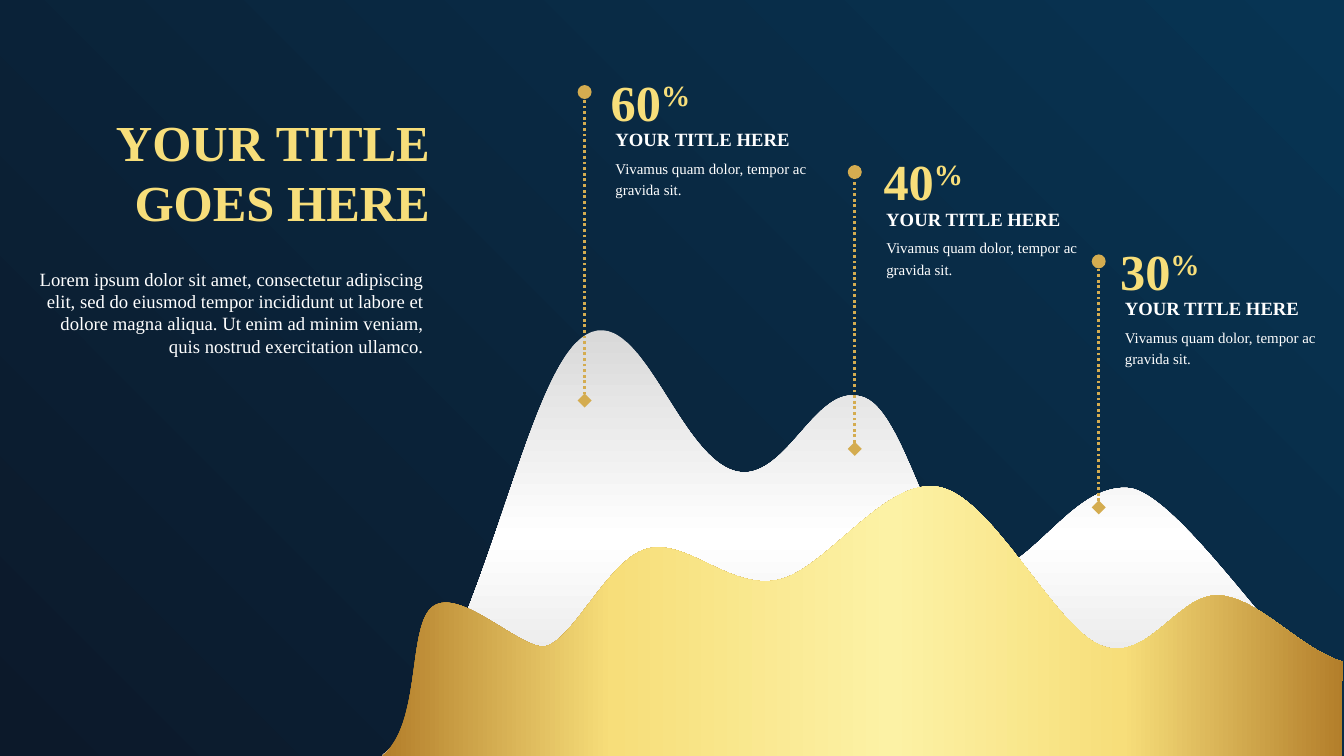
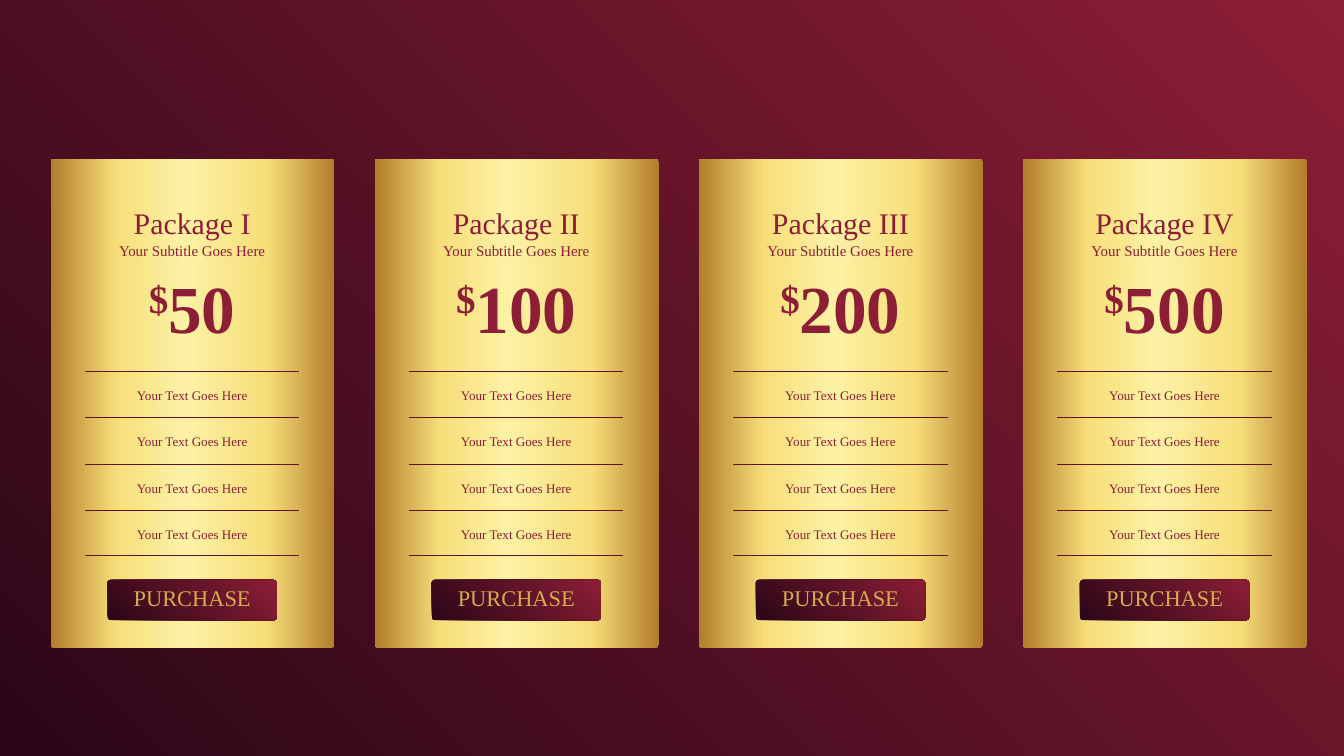
from lxml import etree
from pptx import Presentation
from pptx.dml.color import RGBColor
from pptx.enum.dml import MSO_LINE
from pptx.enum.shapes import MSO_CONNECTOR, MSO_SHAPE, MSO_SHAPE_TYPE
from pptx.enum.text import MSO_ANCHOR, MSO_AUTO_SIZE, PP_ALIGN
from pptx.oxml import parse_xml
from pptx.oxml.ns import nsdecls, qn
from pptx.util import Inches, Pt

FONT = "Times New Roman"
WHITE = "FFFFFF"
OCHRE = "D4AC50"
RULE = "5F1327"

# A gradient is (stops, angle); the angle None means from the top right corner.
GOLD_STOPS = [(0, "B37E2A"), (24, "F7DE7A"), (53, "FCF2A5"),
              (77, "F7DE7A"), (100, "B37E2A")]
GOLD = (GOLD_STOPS, 180)
GOLD_RIGHTWARD = (GOLD_STOPS, 0)
SILVER = ([(0, "D9D9D9"), (49, "FFFFFF"), (100, "D9D9D9")], 90)
NAVY = ([(0, "073453"), (100, "0C192A")], None)
WINE = ([(0, "8C1E35"), (100, "2A0617")], None)
BRONZE = ([(0, "E1B574"), (48, OCHRE), (100, "B88530")], None)


def paint(fill, colour):
    """Fill with a hex colour or with a gradient."""
    fill.solid()
    if isinstance(colour, str):
        fill.fore_color.rgb = RGBColor.from_string(colour)
        return
    stops, angle = colour
    stop_xml = "".join(
        f'<a:gs pos="{position * 1000}"><a:srgbClr val="{value}"/></a:gs>'
        for position, value in stops)
    if angle is None:
        course = ('<a:path path="circle"><a:fillToRect l="100000" b="100000"/></a:path>'
                  '<a:tileRect t="-100000" r="-100000"/>')
    else:
        course = f'<a:lin ang="{angle * 60000}" scaled="0"/>'
    gradient = parse_xml(f'<a:gradFill {nsdecls("a")} rotWithShape="1">'
                         f'<a:gsLst>{stop_xml}</a:gsLst>{course}</a:gradFill>')
    parent = fill._xPr
    parent.replace(parent.find(qn("a:solidFill")), gradient)


def write(shape, lines, size, colour, bold=False, align=PP_ALIGN.LEFT, spacing=None):
    """Write lines, each a list of (text, baseline percent) runs, into a shape."""
    frame = shape.text_frame
    frame.word_wrap = True
    if shape.shape_type == MSO_SHAPE_TYPE.TEXT_BOX:
        frame.auto_size = MSO_AUTO_SIZE.SHAPE_TO_FIT_TEXT
    for index, line in enumerate(lines):
        paragraph = frame.add_paragraph() if index else frame.paragraphs[0]
        paragraph.alignment = align
        paragraph.line_spacing = spacing
        for text, baseline in line:
            run = paragraph.add_run()
            run.text = text
            run.font.name = FONT
            run.font.size = Pt(size)
            run.font.bold = bold
            paint(run.font.fill, colour)
            if baseline:
                run.font._element.set("baseline", str(baseline * 1000))


presentation = Presentation()
presentation.slide_width = Inches(20)
presentation.slide_height = Inches(11.25)
blank_layout = presentation.slide_layouts[6]

# Slide 1: mountains with callouts
slide = presentation.slides.add_slide(blank_layout)
shapes = slide.shapes
paint(slide.background.fill, NAVY)

# Each step holds one point for a straight line or three for a Bezier curve.
white_range = [
    [(16.75, 7.26)],
    [(17.51, 7.24), (19.27, 10.06), (19.93, 10.33)],
    [(19.97, 10.34)], [(19.97, 11.25)], [(5.68, 11.25)],
    [(7.12, 10.02), (7.75, 5.74), (8.65, 5.03)],
    [(9.55, 4.33), (10.11, 7.03), (11.08, 7.03)],
    [(11.78, 7.01), (12.18, 5.64), (12.87, 5.92)],
    [(13.56, 6.2), (13.98, 8.95), (14.77, 8.56)],
    [(15.56, 8.16), (16.02, 7.25), (16.75, 7.26)],
]
gold_range = [
    [(6.45, 9.02)],
    [(6.85, 8.75), (7.7, 9.62), (8.08, 9.62)],
    [(8.49, 9.61), (9.04, 8.33), (9.62, 8.17)],
    [(10.21, 8), (10.85, 8.78), (11.58, 8.63)],
    [(12.3, 8.48), (13.18, 7.08), (13.98, 7.25)],
    [(14.78, 7.41), (15.7, 9.35), (16.39, 9.61)],
    [(17.09, 9.88), (17.54, 8.82), (18.14, 8.86)],
    [(18.74, 8.9), (19.34, 9.66), (19.99, 9.85)],
    [(19.97, 10.52)], [(19.97, 11.25)], [(5.68, 11.25)],
    [(6.29, 10.78), (6.05, 9.29), (6.45, 9.02)],
]
# Outline, left, top, width, height, fill
mountains = [
    (white_range, 5.68, 4.92, 14.29, 6.33, SILVER),
    (gold_range, 5.68, 7.23, 14.31, 4.02, GOLD_RIGHTWARD),
]
for outline, left, top, width, height, colour in mountains:
    anchors = [(Inches(step[-1][0]), Inches(step[-1][1])) for step in outline]
    builder = shapes.build_freeform(*anchors[0])
    builder.add_line_segments(anchors[1:], close=True)
    mountain = builder.convert_to_shape()
    mountain.left, mountain.top = Inches(left), Inches(top)
    mountain.width, mountain.height = Inches(width), Inches(height)

    # Turn the straight segments into the curves of the outline
    curve = next(mountain.element.iter(qn("a:path")))
    curve.set("w", str(mountain.width))
    curve.set("h", str(mountain.height))
    for segment, step in zip(list(curve), outline):
        tag = "a:cubicBezTo" if len(step) == 3 else segment.tag
        new_segment = etree.Element(qn(tag) if tag == "a:cubicBezTo" else tag)
        for x, y in step:
            etree.SubElement(new_segment, qn("a:pt"), x=str(Inches(x - left)),
                             y=str(Inches(y - top)))
        curve.replace(segment, new_segment)

    mountain.shadow.inherit = False
    paint(mountain.fill, colour)
    mountain.line.fill.background()

# Stem x, bottom, top
for stem_x, bottom, top in [(8.7, 5.96, 1.37), (12.72, 6.68, 2.56), (16.35, 7.55, 3.89)]:
    stem = shapes.add_connector(MSO_CONNECTOR.STRAIGHT, Inches(stem_x), Inches(bottom),
                                Inches(stem_x), Inches(top))
    paint(stem.line.fill, OCHRE)
    stem.line.width = Pt(3)
    stem.line.dash_style = MSO_LINE.ROUND_DOT
    line_element = stem.element.spPr.find(qn("a:ln"))
    for tag, kind in (("a:headEnd", "diamond"), ("a:tailEnd", "oval")):
        etree.SubElement(line_element, qn(tag), type=kind, w="lg", len="lg")

# Value, value left, label left, label top
callouts = [
    ("30", 16.57, 16.64, 4.3),
    ("40", 13.05, 13.09, 2.97),
    ("60", 8.99, 9.06, 1.79),
]
for value, value_left, label_left, label_top in callouts:
    group = shapes.add_group_shape()
    label = group.shapes.add_textbox(Inches(label_left), Inches(label_top),
                                     Inches(3.73), Inches(0.47))
    write(label, [[("YOUR TITLE HERE", 0)]], 20, WHITE, bold=True, spacing=1.2)
    detail = group.shapes.add_textbox(Inches(label_left), Inches(label_top + 0.48),
                                      Inches(3.08), Inches(0.75))
    write(detail, [[("Vivamus quam dolor, tempor ac gravida sit.", 0)]], 16, WHITE,
          spacing=1.2)
    percentage = shapes.add_textbox(Inches(value_left), Inches(label_top - 1.05),
                                    Inches(1.73), Inches(1.17))
    write(percentage, [[(value, 0), ("%", 30)]], 54, GOLD, bold=True, spacing=1.3)

intro = shapes.add_textbox(Inches(0.48), Inches(3.93), Inches(5.92), Inches(1.45))
write(intro, [[("Lorem ipsum dolor sit amet, consectetur adipiscing elit, sed do eiusmod "
                "tempor incididunt ut labore et dolore magna aliqua. Ut enim ad minim "
                "veniam, quis nostrud exercitation ullamco.", 0)]],
      20, WHITE, align=PP_ALIGN.RIGHT)

title = shapes.add_textbox(Inches(1.68), Inches(1.65), Inches(4.72), Inches(1.82))
write(title, [[("YOUR TITLE", 0)], [("GOES HERE", 0)]], 54, GOLD, bold=True,
      align=PP_ALIGN.RIGHT)
frame = title.text_frame
frame.word_wrap = False
frame.margin_left = frame.margin_right = frame.margin_top = frame.margin_bottom = 0

# Slide 2: pricing cards
slide = presentation.slides.add_slide(blank_layout)
shapes = slide.shapes
paint(slide.background.fill, WINE)

FIRST_LEFT, LAST_LEFT = 0.76, 15.23
RULE_WIDTH = 3.19
rule_tops = [5.52, 6.21, 6.91, 7.6, 8.26]
# Numeral, price, width of the price box
packages = [("I", "50", 1.98), ("II", "100", 2.83), ("III", "200", 2.64),
            ("IV", "500", 2.98)]
card_pitch = (LAST_LEFT - FIRST_LEFT) / (len(packages) - 1)
for index, (numeral, price, price_width) in enumerate(packages):
    card_left = FIRST_LEFT + index * card_pitch
    centre = card_left + 2.1
    card = shapes.add_shape(MSO_SHAPE.ROUNDED_RECTANGLE, Inches(card_left), Inches(2.36),
                            Inches(4.22), Inches(7.28))
    card.adjustments[0] = 0.01
    paint(card.fill, GOLD)

    # Text runs, top, width, height, size, bold, line spacing
    card_texts = [
        ([(f"Package {numeral}", 0)], 3, 3.32, 0.64, 32, False, None),
        ([("$", 30), (price, 0)], 3.92, price_width, 1.31, 72, True, None),
        ([("Your Subtitle Goes Here", 0)], 3.47, 3.3, 0.42, 16, False, 1.3),
    ]
    for rule_top in rule_tops[:-1]:
        card_texts.append(([("Your Text Goes Here", 0)], rule_top + 0.19, 2.77, 0.34,
                           14, False, None))
    for runs, top, width, height, size, bold, spacing in card_texts:
        box = shapes.add_textbox(Inches(centre - width / 2), Inches(top),
                                 Inches(width), Inches(height))
        write(box, [runs], size, WINE, bold, PP_ALIGN.CENTER, spacing)

    for rule_top in rule_tops:
        rule = shapes.add_connector(
            MSO_CONNECTOR.STRAIGHT, Inches(centre - RULE_WIDTH / 2), Inches(rule_top),
            Inches(centre + RULE_WIDTH / 2), Inches(rule_top))
        paint(rule.line.fill, RULE)
        rule.line.width = Pt(0.5)

    button = shapes.add_shape(MSO_SHAPE.ROUNDED_RECTANGLE, Inches(centre - 1.26),
                              Inches(8.63), Inches(2.52), Inches(0.6))
    button.adjustments[0] = 0.08
    paint(button.fill, WINE)
    button.text_frame.vertical_anchor = MSO_ANCHOR.MIDDLE
    write(button, [[("PURCHASE", 0)]], 24, BRONZE, align=PP_ALIGN.CENTER, spacing=0.8)
    for panel in (card, button):
        panel.shadow.inherit = False
        panel.line.fill.background()

# Connectors carry no shadow
for slide in presentation.slides:
    for connector in slide.element.iter(qn("p:cxnSp")):
        etree.SubElement(connector.spPr, qn("a:effectLst"))

presentation.save("out.pptx")
